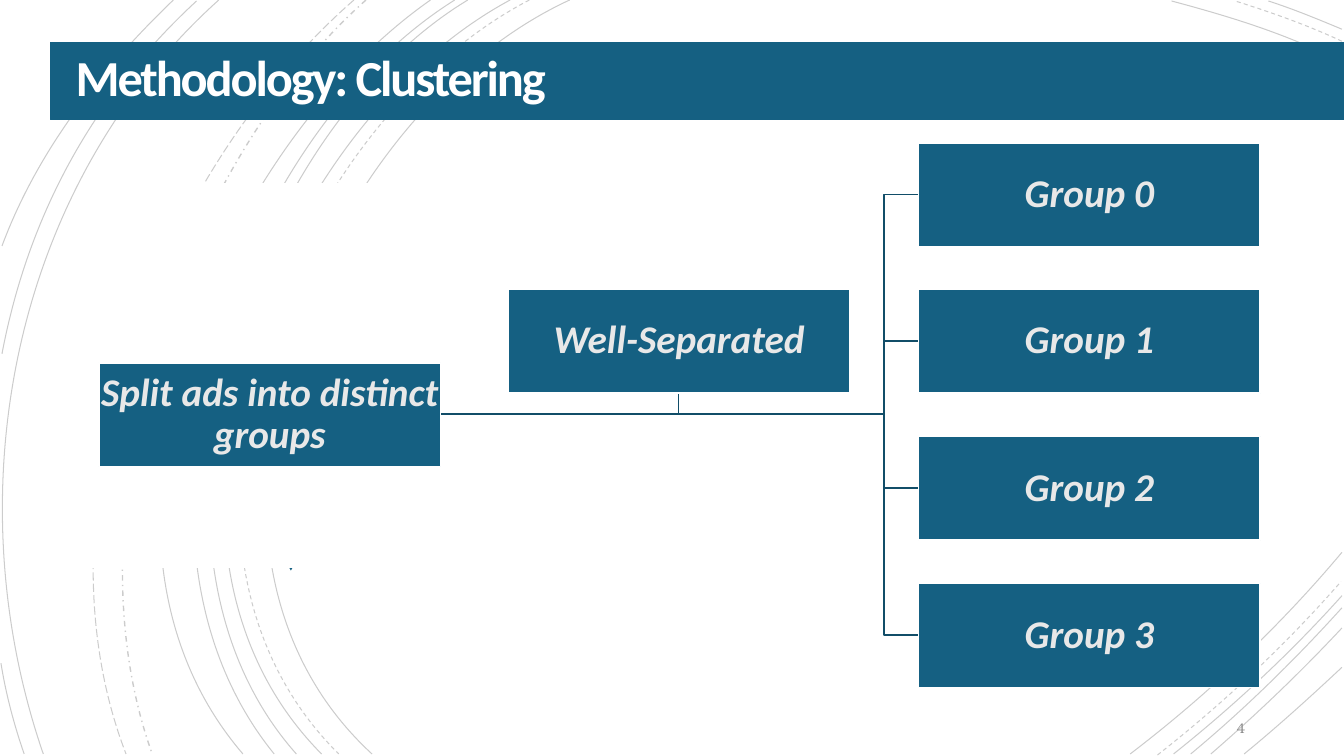
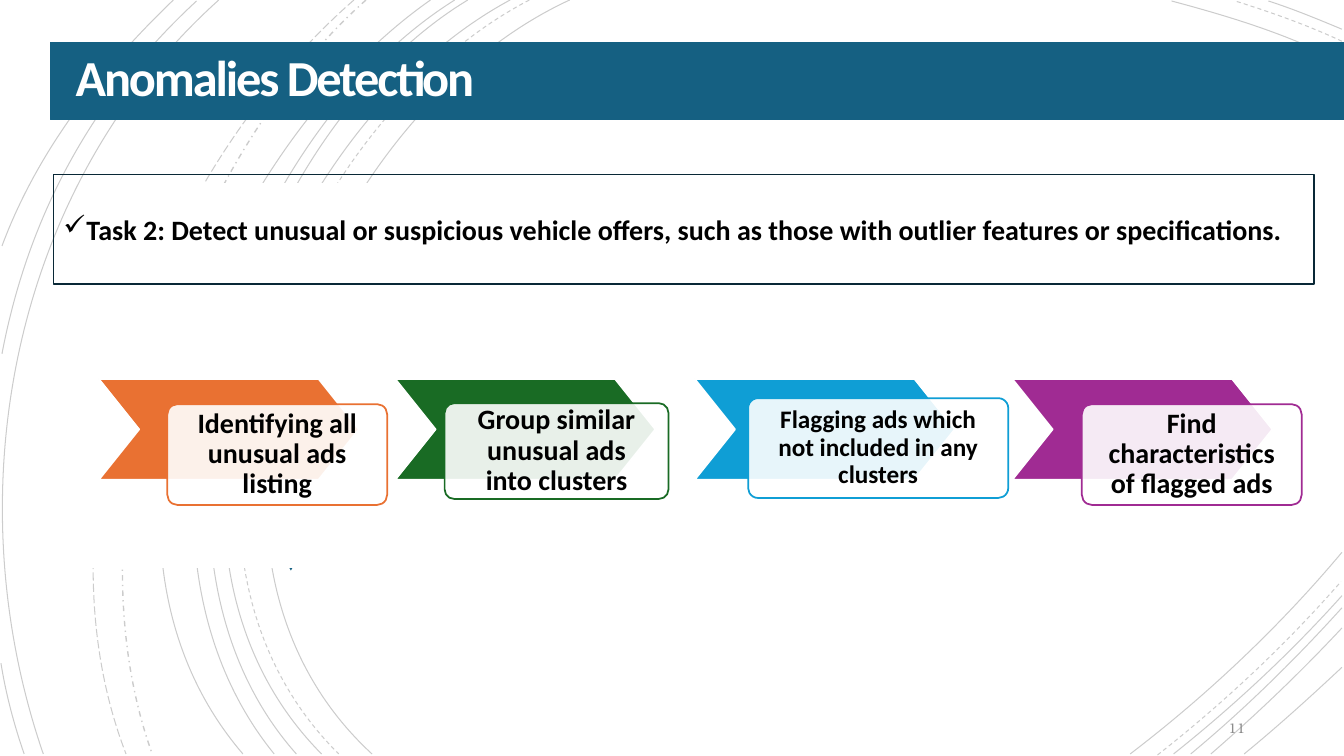
from lxml.etree import SubElement
from pptx import Presentation
from pptx.dml.color import RGBColor
from pptx.enum.dml import MSO_LINE
from pptx.enum.shapes import MSO_SHAPE
from pptx.enum.text import MSO_ANCHOR, PP_ALIGN
from pptx.oxml.ns import qn
from pptx.util import Pt

PX = 9144  # EMU per px, 100 px to the inch

BLUE, WHITE, BLACK = "156082", "FFFFFF", "000000"
LINK, FRAME, PALE, GREY = "114D68", "092836", "E8E8E8", "8C8C8C"

# Each arc: start, two control points, end
SOLID_ARCS = [
    [(565, 0), (315, 115), (143, 540), (369, 748)],
    [(1331, 62), (1278, 34), (1218, 16), (1162, 1)],
    [(1121, 748), (1197, 690), (1269, 622), (1331, 548)],
    [(506, 0), (270, 127), (110, 537), (319, 748)],
    [(1331, 29), (1307, 19), (1283, 9), (1258, 1)],
    [(1164, 748), (1223, 701), (1280, 648), (1331, 591)],
    [(464, 0), (244, 133), (110, 541), (294, 748)],
    [(1181, 748), (1234, 704), (1284, 655), (1331, 603)],
    [(451, 0), (231, 138), (97, 533), (272, 748)],
    [(1201, 748), (1246, 709), (1290, 667), (1331, 623)],
    [(427, 0), (217, 147), (53, 529), (241, 748)],
    [(1234, 748), (1267, 721), (1299, 692), (1331, 662)],
    [(217, 0), (11, 185), (-46, 490), (43, 748)],
    [(195, 1), (92, 96), (28, 214), (2, 351)],
    [(1, 658), (6, 689), (14, 719), (24, 748)],
    [(172, 0), (100, 69), (37, 150), (2, 244)],
]
DASHED_ARCS = [
    [(525, 0), (285, 125), (123, 537), (336, 748)],
    [(1331, 41), (1297, 25), (1260, 12), (1225, 1)],
    [(1148, 749), (1213, 698), (1275, 640), (1330, 577)],
]
DASH_DOT_ARC = [(363, 0), (176, 166), (65, 509), (151, 748)]
LONG_DASH_ARC = [(351, 0), (157, 169), (29, 499), (125, 748)]


def color(value):
    return RGBColor.from_string(value)


def set_opacity(fill, percent):
    """Make a solid fill partly transparent."""
    color_element = fill._xPr.find(f"{qn('a:solidFill')}/{qn('a:srgbClr')}")
    SubElement(color_element, qn("a:alpha"), val=str(percent * 1000))


class Deck:
    font = "Calibri"

    def __init__(self):
        self.presentation = Presentation()
        self.presentation.slide_width = 1333 * PX
        self.presentation.slide_height = 750 * PX
        self.slide = None

    def add_slide(self, title, number):
        layout = self.presentation.slide_layouts[6]
        self.slide = self.presentation.slides.add_slide(layout)
        self.backdrop()
        self.page_number(number)
        self.box(MSO_SHAPE.RECTANGLE, 84, 182, 418, 381, WHITE, WHITE)
        bar = self.box(MSO_SHAPE.RECTANGLE, 50, 42, 1284, 77, BLUE, BLUE, 0.75)
        paragraph = self.text(bar, title, 36, WHITE, inset=25, spacing=0.85)
        paragraph.runs[0].font._element.set("spc", "-150")

    def backdrop(self):
        for arc in SOLID_ARCS:
            self.arc(arc)
        for arc in DASHED_ARCS:
            self.arc(arc, MSO_LINE.DASH)
        self.arc(DASH_DOT_ARC, MSO_LINE.DASH_DOT, 1)
        self.arc(LONG_DASH_ARC, MSO_LINE.LONG_DASH)
        marker = self.box(MSO_SHAPE.ISOSCELES_TRIANGLE, 271, 536, 35, 30, BLUE)
        marker.rotation = 180

    def page_number(self, number):
        shape = self.slide.shapes.add_textbox(1145 * PX, 705 * PX, 100 * PX, 35 * PX)
        self.text(shape, str(number), 10, GREY, PP_ALIGN.RIGHT,
                  font="TeX Gyre Bonum", bold=False)

    def style(self, shape, fill, line, width):
        shape.shadow.inherit = False
        if fill:
            shape.fill.solid()
            shape.fill.fore_color.rgb = color(fill)
        else:
            shape.fill.background()
        if line:
            shape.line.color.rgb = color(line)
            shape.line.width = Pt(width)
        else:
            shape.line.fill.background()

    def box(self, kind, left, top, width, height, fill=None, line=None, line_width=1.25):
        shape = self.slide.shapes.add_shape(
            kind, left * PX, top * PX, width * PX, height * PX)
        self.style(shape, fill, line, line_width)
        return shape

    def polyline(self, points, line, width=1.25):
        builder = self.slide.shapes.build_freeform(*points[0], scale=PX)
        builder.add_line_segments(points[1:], close=False)
        shape = builder.convert_to_shape()
        self.style(shape, None, line, width)
        return shape

    def arc(self, points, dash=MSO_LINE.SOLID, width=0.75):
        """Draw one faint cubic curve."""
        shape = self.polyline(points, BLACK, width)
        shape.line.dash_style = dash
        set_opacity(shape.line.fill, 20)
        path = next(shape._element.iter(qn("a:path")))
        segments = path.findall(qn("a:lnTo"))
        curve = SubElement(path, qn("a:cubicBezTo"))
        for segment in segments:
            curve.append(segment[0])
            path.remove(segment)

    def text(self, shape, words, size, ink, align=PP_ALIGN.LEFT, inset=None,
             spacing=1.0, font=None, bold=True, italic=False):
        frame = shape.text_frame
        frame.word_wrap = True
        frame.vertical_anchor = MSO_ANCHOR.MIDDLE
        if inset is not None:
            frame.margin_left = frame.margin_right = inset * PX
            frame.margin_top = frame.margin_bottom = inset * PX
        paragraph = frame.paragraphs[0]
        paragraph.alignment = align
        paragraph.line_spacing = spacing
        run = paragraph.add_run()
        run.text = words
        run.font.name = font or self.font
        run.font.size = Pt(size)
        run.font.bold = bold
        run.font.italic = italic
        run.font.color.rgb = color(ink)
        return paragraph

    def node(self, left, top, width, height, words):
        shape = self.box(MSO_SHAPE.RECTANGLE, left, top, width, height, BLUE, WHITE)
        self.text(shape, words, 28, PALE, PP_ALIGN.CENTER, 2, 0.9, italic=True)

    def chevron(self, left, top, accent):
        shape = self.box(MSO_SHAPE.CHEVRON, left, top, 258, 100, accent, WHITE)
        shape.adjustments[0] = 0.4

    def card(self, left, top, width, height, accent, words, size, inset):
        shape = self.box(MSO_SHAPE.ROUNDED_RECTANGLE, left, top, width, height,
                         WHITE, accent)
        shape.adjustments[0] = 0.1
        set_opacity(shape.fill, 90)
        self.text(shape, words, size, BLACK, PP_ALIGN.CENTER, inset, 0.9)

    def task(self, left, top, width, height, words):
        shape = self.box(MSO_SHAPE.RECTANGLE, left, top, width, height, line=FRAME)
        paragraph = self.text(shape, words, 20, BLACK)
        properties = paragraph._p.get_or_add_pPr()
        properties.set("marL", str(23 * PX))
        properties.set("indent", str(-23 * PX))
        SubElement(properties, qn("a:buChar"), char="✓")


def clustering_slide(deck):
    deck.add_slide("Methodology: Clustering", 4)
    width, height = 339, 103
    root_left, middle_left, group_left = 98, 504, 911
    root_top = 360
    group_tops = [142 + 437 * index // 3 for index in range(4)]
    middle_top = group_tops[1]

    start, trunk_y, spine_x = root_left + width, root_top + height // 2, 877
    middle_x = middle_left + width // 2
    deck.polyline([(start, trunk_y), (middle_x, trunk_y),
                   (middle_x, middle_top + height)], LINK)
    for top in group_tops:
        y = top + height // 2
        deck.polyline([(start, trunk_y), (spine_x, trunk_y),
                       (spine_x, y), (group_left, y)], LINK)

    deck.node(root_left, root_top, width, height, "Split ads into distinct groups")
    for index, top in enumerate(group_tops):
        deck.node(group_left, top, width, height, f"Group {index}")
    deck.node(middle_left, middle_top, width, height, "Well-Separated")


def anomalies_slide(deck):
    deck.add_slide("Anomalies Detection", 11)
    steps = [
        (98, "E97132", (166, 401, 218, 100), "Identifying all unusual ads listing", 20, 16),
        (392, "196B24", (441, 400, 222, 95), "Group similar unusual ads into clusters", 20, 16),
        (689, "0F9ED5", (742, 395, 258, 99),
         "Flagging ads which not included in any clusters", 18, 14),
        (1004, "A02B93", (1073, 401, 218, 100), "Find characteristics of flagged ads", 20, 16),
    ]
    for left, accent, card_area, words, size, inset in steps:
        deck.chevron(left, 376, accent)
        deck.card(*card_area, accent, words, size, inset)
    deck.task(53, 173, 1250, 109,
              "Task 2: Detect unusual or suspicious vehicle offers, "
              "such as those with outlier features or specifications.")


def main():
    deck = Deck()
    clustering_slide(deck)
    anomalies_slide(deck)
    deck.presentation.save("out.pptx")


if __name__ == "__main__":
    main()
